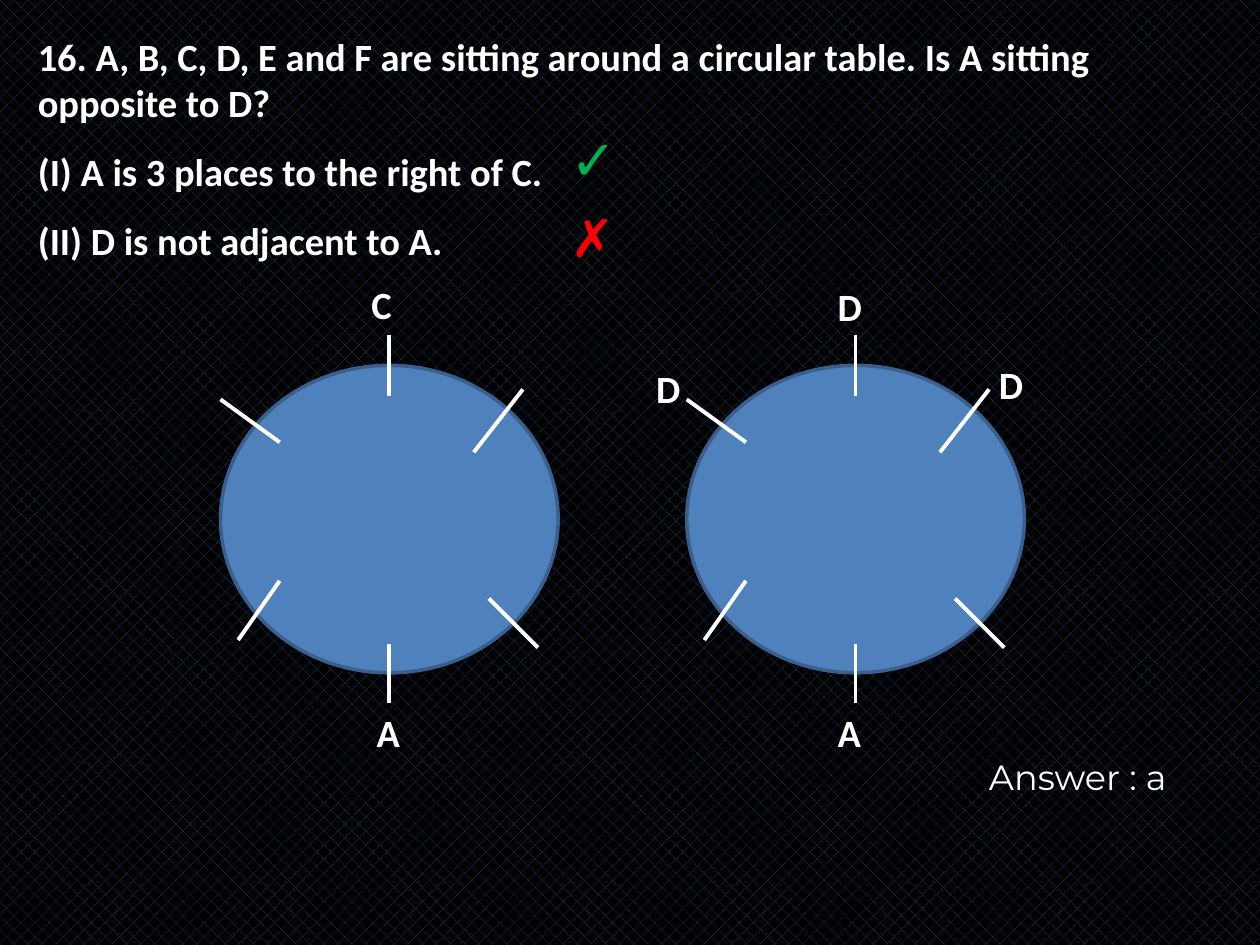
import lxml.etree
import pptx
import pptx.dml.color
import pptx.enum.dml
import pptx.enum.shapes
import pptx.enum.text
import pptx.oxml.ns
import pptx.util

Inches = pptx.util.Inches
WHITE = "FFFFFF"
BOLD = {"name": "Calibri", "size": pptx.util.Pt(22), "bold": True}
TICK = {**BOLD, "size": pptx.util.Pt(32)}
CROSS = {"name": "Montserrat", "size": pptx.util.Pt(30), "bold": True}
REPLY = {"name": "Montserrat", "size": pptx.util.Pt(20), "bold": False}

SEATS = [
    (1.34, -0.24, 1.34, 0.24),
    (2.4, 0.19, 2.01, 0.69),
    (0.47, 1.71, 0.14, 2.18),
    (0, 0.27, 0.47, 0.61),
    (2.13, 1.85, 2.52, 2.24),
    (1.34, 2.21, 1.34, 2.68),
]
TABLES = [1.75, 5.45]
TOP = 2.9
NAMES = [
    ("A", 2.89, 5.58),
    ("C", 2.85, 2.18),
    ("A", 6.55, 5.58),
    ("D", 5.11, 2.85),
    ("D", 6.55, 2.2),
    ("D", 7.83, 2.82),
]
QUESTION = [
    ("16. A, B, C, D, E and F are sitting around a circular table. "
     "Is A sitting opposite to D?", 1.0),
    ("(I) A is 3 places to the right of C.", 1.5),
    ("(II) D is not adjacent to A.", 1.5),
]


def paint(color, code):
    color.rgb = pptx.dml.color.RGBColor.from_string(code)


def style(item, values):
    for key, value in values.items():
        setattr(item, key, value)


def format_text(para, font, code=WHITE):
    style(para.font, font)
    paint(para.font.color, code)


def add_ground(slide):
    fill = slide.background.fill
    fill.patterned()
    fill.pattern = pptx.enum.dml.MSO_PATTERN.PERCENT_25
    paint(fill.fore_color, "1F497D")
    paint(fill.back_color, "000000")


def fill_title(slide):
    title = slide.shapes.title
    style(title, {"left": Inches(0.2), "top": Inches(0.21),
                  "width": Inches(9.61), "height": Inches(1.95)})
    frame = title.text_frame
    style(frame, {"word_wrap": True,
                  "auto_size": pptx.enum.text.MSO_AUTO_SIZE.NONE,
                  "vertical_anchor": pptx.enum.text.MSO_ANCHOR.TOP})
    frame.text = "\n".join(text for text, _ in QUESTION)
    for para, (_, space) in zip(frame.paragraphs, QUESTION):
        style(para, {"alignment": pptx.enum.text.PP_ALIGN.LEFT,
                     "line_spacing": space})
        format_text(para, BOLD)


def add_label(slide, text, left, top, width=0.47, height=0.47,
              font=BOLD, code=WHITE):
    box = slide.shapes.add_textbox(
        Inches(left), Inches(top), Inches(width), Inches(height))
    frame = box.text_frame
    style(frame, {"text": text, "word_wrap": True})
    format_text(frame.paragraphs[0], font, code)


def add_seat(slide, left, seat):
    x1, y1, x2, y2 = seat
    line = slide.shapes.add_connector(
        pptx.enum.shapes.MSO_CONNECTOR.STRAIGHT,
        Inches(left + x1), Inches(TOP + y1),
        Inches(left + x2), Inches(TOP + y2))
    paint(line.line.color, WHITE)
    line.line.width = pptx.util.Pt(2.25)
    lxml.etree.SubElement(
        line._element.spPr, pptx.oxml.ns.qn("a:effectLst"))


def add_round(slide, left):
    disc = slide.shapes.add_shape(
        pptx.enum.shapes.MSO_SHAPE.OVAL,
        Inches(left), Inches(TOP), Inches(2.68), Inches(2.44))
    disc.shadow.inherit = False
    disc.fill.solid()
    paint(disc.fill.fore_color, "4F81BD")
    paint(disc.line.color, "3A5F8C")
    disc.line.width = pptx.util.Pt(2)
    for seat in SEATS:
        add_seat(slide, left, seat)


def main():
    deck = pptx.Presentation()
    style(deck, {"slide_width": Inches(10), "slide_height": Inches(7.5)})
    slide = deck.slides.add_slide(deck.slide_layouts.get_by_name("Title Only"))
    add_ground(slide)
    fill_title(slide)
    for left in TABLES:
        add_round(slide, left)
    for name in NAMES:
        add_label(slide, *name)
    add_label(slide, "✓", 4.43, 0.94, height=0.64, font=TICK, code="00B050")
    add_label(slide, "✗", 4.43, 1.58, height=0.61, font=CROSS, code="FF0000")
    add_label(slide, "Answer : a", 7.75, 5.95, 2.05, 0.44, REPLY)
    deck.save("out.pptx")


if __name__ == "__main__":
    main()
